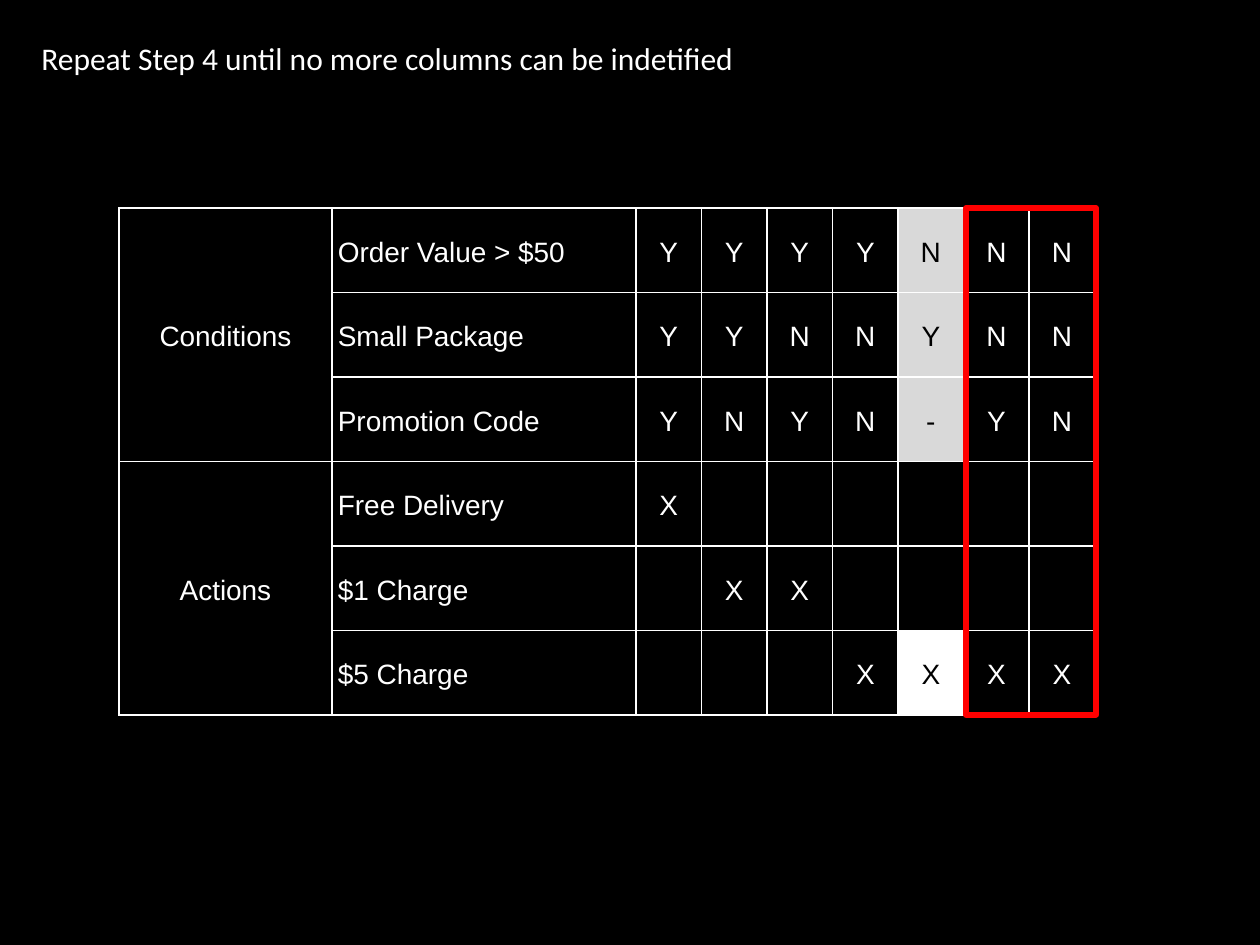
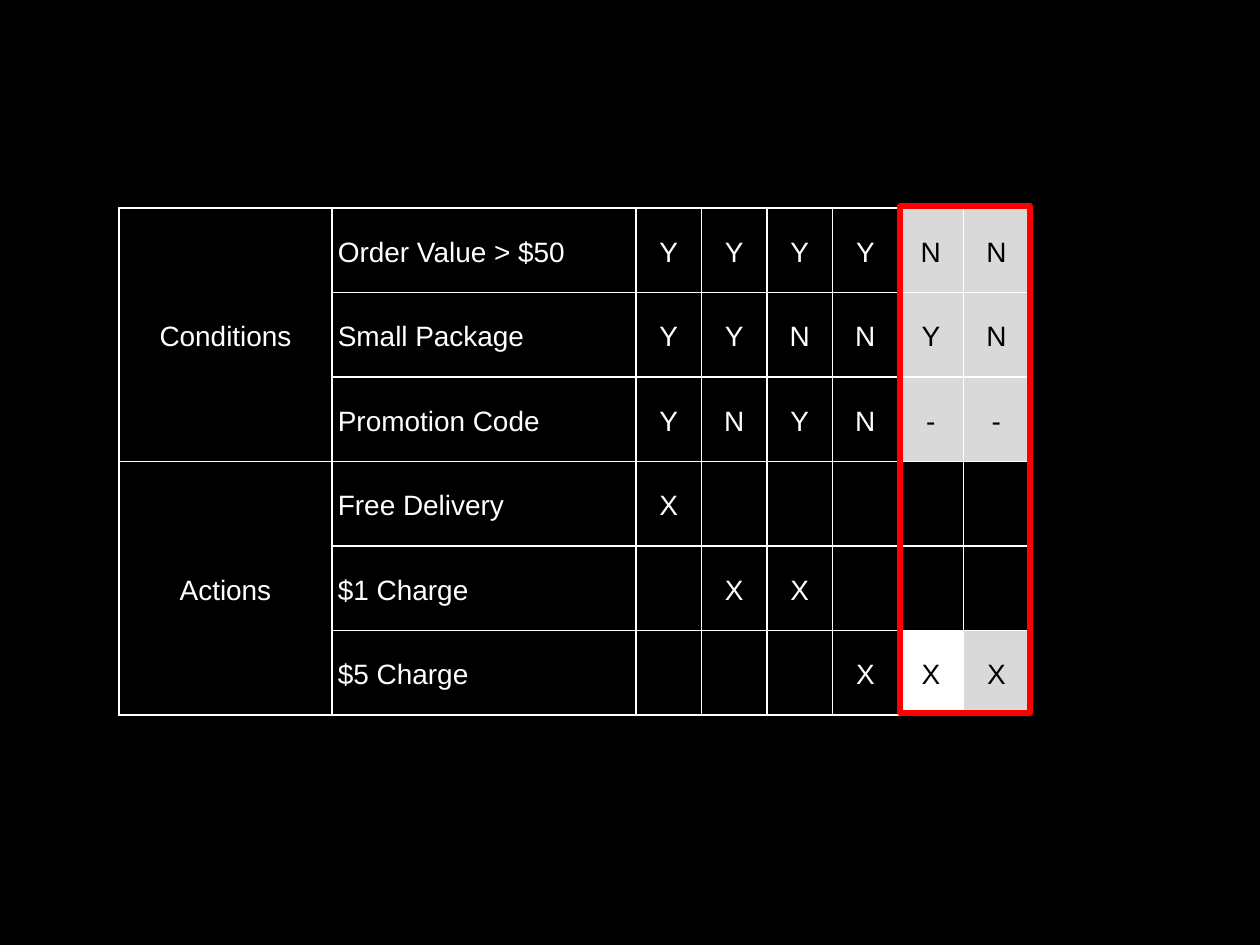
from lxml.etree import SubElement
from pptx import Presentation
from pptx.dml.color import RGBColor
from pptx.enum.shapes import MSO_SHAPE
from pptx.enum.text import MSO_ANCHOR, MSO_AUTO_SIZE, PP_ALIGN
from pptx.oxml.ns import qn
from pptx.util import Emu, Pt

PIXEL = 914400 // 126
BLACK, WHITE, GREY, RED = "000000", "FFFFFF", "D9D9D9", "FF0000"

TABLE_LEFT, TABLE_TOP, TABLE_HEIGHT = 119, 208, 507
GROUP_WIDTH, LABEL_WIDTH = 213, 304
RULE_WIDTH = 459 * PIXEL // 7
ROW_HEIGHT = TABLE_HEIGHT * PIXEL // 6

GROUPS = {0: "Conditions", 3: "Actions"}
LABELS = ["Order Value > $50", "Small Package", "Promotion Code",
          "Free Delivery", "$1 Charge", "$5 Charge"]
NO_FILLS = [None] * 6
FIRST_MERGE = ("NY-  X", [GREY] * 3 + [None] * 2 + [WHITE])
SECOND_MERGE = ("NN-  X", [GREY] * 3 + [None] * 2 + [GREY])
BASE_RULES = [(marks, NO_FILLS) for marks in ("YYYX  ", "YYN X ", "YNY X ", "YNN  X")]
OPEN_RULES = [(marks, NO_FILLS) for marks in ("NNY  X", "NNN  X")]


def px(length):
    """Turn pixels into EMU."""
    return Emu(length * PIXEL)


def color(code):
    """Turn a hex string into a colour."""
    return RGBColor.from_string(code)


def add_span(para, text, font, size, code):
    """Add one formatted run to a paragraph."""
    span = para.add_run()
    span.text = text
    span.font.name = font
    span.font.size = Pt(size)
    span.font.color.rgb = color(code)


def add_page(deck):
    """Add a blank black page."""
    page = deck.slides.add_slide(deck.slide_layouts[6])
    page.background.fill.solid()
    page.background.fill.fore_color.rgb = color(BLACK)
    return page


def add_title(page, text):
    """Add the title line at the top of a page."""
    box = page.shapes.add_textbox(px(29), px(33), px(1174), px(50))
    box.text_frame.word_wrap = True
    box.text_frame.auto_size = MSO_AUTO_SIZE.SHAPE_TO_FIT_TEXT
    add_span(box.text_frame.paragraphs[0], text, "Calibri", 18, WHITE)


def add_borders(cell):
    """Draw thin white lines on all four sides of a cell."""
    properties = cell._tc.get_or_add_tcPr()
    for side in ("a:lnL", "a:lnR", "a:lnT", "a:lnB"):
        line = SubElement(properties, qn(side), w=str(Pt(1)))
        fill = SubElement(line, qn("a:solidFill"))
        SubElement(fill, qn("a:srgbClr"), val=WHITE)


def style_cell(cell, fill=None):
    """Give a cell its borders, margins and fill."""
    add_borders(cell)
    cell.vertical_anchor = MSO_ANCHOR.MIDDLE
    cell.margin_left = cell.margin_right = px(6)
    cell.margin_top = cell.margin_bottom = px(6)
    if fill:
        cell.fill.solid()
        cell.fill.fore_color.rgb = color(fill)
    else:
        cell.fill.background()


def write_cell(cell, text, align=PP_ALIGN.CENTER, code=WHITE):
    """Write a line of text into a cell."""
    para = cell.text_frame.paragraphs[0]
    para.alignment = align
    para.line_spacing = 1.15
    add_span(para, text, "Arial", 16, code)


def add_decision_table(page, rules):
    """Add the decision table with one narrow column per rule."""
    widths = [px(GROUP_WIDTH), px(LABEL_WIDTH)] + [RULE_WIDTH] * len(rules)
    frame = page.shapes.add_table(len(LABELS), len(widths), px(TABLE_LEFT), px(TABLE_TOP),
                                  sum(widths), px(TABLE_HEIGHT))
    table = frame.table
    table.first_row = table.horz_banding = False
    for column, width in zip(table.columns, widths):
        column.width = width
    for row, label in enumerate(LABELS):
        table.rows[row].height = ROW_HEIGHT
        style_cell(table.cell(row, 0))
        style_cell(table.cell(row, 1))
        write_cell(table.cell(row, 1), label, PP_ALIGN.LEFT)
        for column, (marks, fills) in enumerate(rules, start=2):
            cell = table.cell(row, column)
            style_cell(cell, fills[row])
            if marks[row] != " ":
                write_cell(cell, marks[row], code=BLACK if fills[row] else WHITE)
    for row, group in GROUPS.items():
        table.cell(row, 0).merge(table.cell(row + 2, 0))
        write_cell(table.cell(row, 0), group)


def add_highlight(page, left, top):
    """Frame two rule columns in red."""
    box = page.shapes.add_shape(MSO_SHAPE.RECTANGLE, px(left), px(top),
                                px(130), px(TABLE_HEIGHT))
    box.shadow.inherit = False
    box.fill.background()
    box.line.color.rgb = color(RED)
    box.line.width = Pt(3)


def main():
    """Build the deck and save it."""
    deck = Presentation()
    deck.slide_width, deck.slide_height = px(1260), px(945)

    page = add_page(deck)
    add_decision_table(page, BASE_RULES + [FIRST_MERGE] + OPEN_RULES)
    add_highlight(page, 966, TABLE_TOP)
    add_title(page, "Repeat Step 4 until no more columns can be indetified")

    page = add_page(deck)
    add_decision_table(page, BASE_RULES + [FIRST_MERGE, SECOND_MERGE])
    add_highlight(page, 900, TABLE_TOP - 2)

    deck.save("out.pptx")


main()
